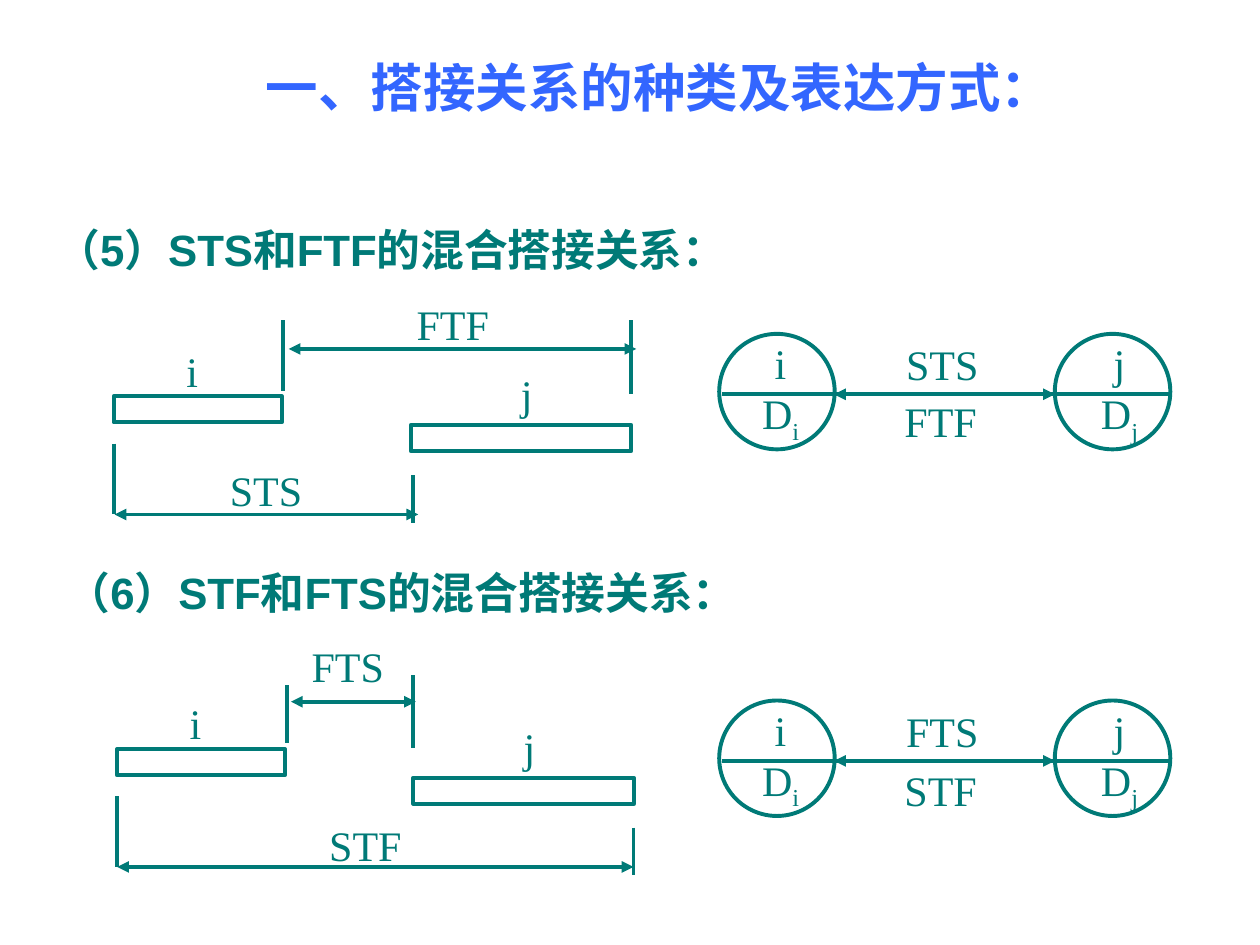
from lxml.etree import SubElement
from pptx import Presentation
from pptx.dml.color import RGBColor
from pptx.enum.shapes import MSO_CONNECTOR as CONNECTOR, MSO_SHAPE as SHAPE
from pptx.enum.text import MSO_ANCHOR as ANCHOR, MSO_AUTO_SIZE as AUTO_SIZE, PP_ALIGN as ALIGN
from pptx.oxml.ns import qn
from pptx.util import Pt

TEAL = RGBColor(0x00, 0x7A, 0x77)
BLUE = RGBColor(0x33, 0x66, 0xFF)
LINE_WIDTH = Pt(2.25)


def write_text(shape, text, size, font_name, color, bold=False, align=ALIGN.CENTER, subscript=""):
    frame = shape.text_frame
    frame.text = text
    frame.word_wrap = False
    frame.auto_size = AUTO_SIZE.NONE
    frame.vertical_anchor = ANCHOR.MIDDLE
    if subscript:
        subscript_run = frame.paragraphs[-1].add_run()
        subscript_run.text = subscript
        subscript_run.font._element.set("baseline", "-25000")
    for paragraph in frame.paragraphs:
        paragraph.alignment = align
        for run in paragraph.runs:
            run.font.size = Pt(size)
            run.font.name = font_name
            run.font.bold = bold
            run.font.color.rgb = color


def add_line(shapes, x1, y1, x2, y2, arrows=False):
    line = shapes.add_connector(CONNECTOR.STRAIGHT, Pt(x1), Pt(y1), Pt(x2), Pt(y2))
    line.line.color.rgb = TEAL
    line.line.width = LINE_WIDTH
    if arrows:
        outline = line.line._get_or_add_ln()
        for end in ("a:headEnd", "a:tailEnd"):
            SubElement(outline, qn(end), type="triangle")
    SubElement(line._element.spPr, qn("a:effectLst"))


presentation = Presentation()
presentation.slide_width = Pt(720)
presentation.slide_height = Pt(540)
slide = presentation.slides.add_slide(presentation.slide_layouts[5])

title = slide.shapes.title
title.left, title.top, title.width, title.height = Pt(144.7), Pt(31.7), Pt(504), Pt(36)
write_text(title, "一、搭接关系的种类及表达方式：", 30, "Times New Roman", BLUE, True, ALIGN.LEFT)

headings = [
    ("（5）STS和FTF的混合搭接关系：", 25.2, 122.4, 493, 39.6),
    ("（6）STF和FTS的混合搭接关系：", 31, 315.4, 453.6, 45.4),
]
for text, left, top, width, height in headings:
    heading = slide.shapes.add_textbox(Pt(left), Pt(top), Pt(width), Pt(height))
    write_text(heading, text, 25, "Arial", TEAL, True, ALIGN.LEFT)

schedules = [
    {
        "bars": [(65, 226.4, 96), (234.7, 242.8, 126)],
        "ticks": [(236, 271.5, 299), (65.2, 253.5, 294), (360.7, 183, 225), (161.6, 183, 223.2)],
        "arrows": [(65.5, 239, 294), (165, 363.6, 199.4)],
        "labels": [("STS", 152, 279.8), ("i", 109.8, 211.7),
                   ("j", 300.9, 224.9), ("FTF", 258.7, 185)],
    },
    {
        "bars": [(66.8, 428, 96), (236.2, 444.4, 126)],
        "ticks": [(362, 473, 500), (67, 455, 495.4), (236.2, 386, 427.7), (163.8, 391.7, 424.8)],
        "arrows": [(67, 362, 495.4), (166.3, 237.6, 401)],
        "labels": [("STF", 208.8, 482.4), ("i", 111.7, 412.9),
                   ("j", 302.5, 426.5), ("FTS", 198.7, 380.5)],
    },
]
networks = [(190.8, "STS", "FTF", 49.7), (400.3, "FTS", "STF", 51.1)]
node_size = 66
label_width, label_height = 63, 34.5
node_label_height = 59.8

for schedule, (top, upper, lower, lower_offset) in zip(schedules, networks):
    bar_group = slide.shapes.add_group_shape().shapes
    network_group = slide.shapes.add_group_shape().shapes
    outlines = [(bar_group, SHAPE.RECTANGLE, left, bar_top, width, 15)
                for left, bar_top, width in schedule["bars"]]
    outlines += [(network_group, SHAPE.OVAL, left, top, node_size, node_size)
                 for left in (411, 602.8)]
    for group, kind, left, shape_top, width, height in outlines:
        shape = group.add_shape(kind, Pt(left), Pt(shape_top), Pt(width), Pt(height))
        shape.shadow.inherit = False
        shape.fill.background()
        shape.line.color.rgb = TEAL
        shape.line.width = LINE_WIDTH

    for x, start, end in schedule["ticks"]:
        add_line(bar_group, x, start, x, end)
    for start, end, y in schedule["arrows"]:
        add_line(bar_group, start, y, end, y, arrows=True)
    middle = top + 34.5
    add_line(network_group, 412.6, middle, 668.9, middle)
    add_line(network_group, 476.6, middle, 602.8, middle, arrows=True)

    labels = [(bar_group, *label, label_height, "") for label in schedule["labels"]]
    labels += [(network_group, upper, 538.4, top + 17, label_height, ""),
               (network_group, lower, 537.5, top + lower_offset, label_height, "")]
    labels += [(network_group, f"{name}\nD", center_x, top + 32.8, node_label_height, name)
               for name, center_x in (("i", 446), ("j", 639.7))]
    for group, text, center_x, center_y, height, subscript in labels:
        label = group.add_textbox(Pt(center_x - label_width / 2), Pt(center_y - height / 2),
                                  Pt(label_width), Pt(height))
        write_text(label, text, 24, "Times New Roman", TEAL, subscript=subscript)

presentation.save("out.pptx")
